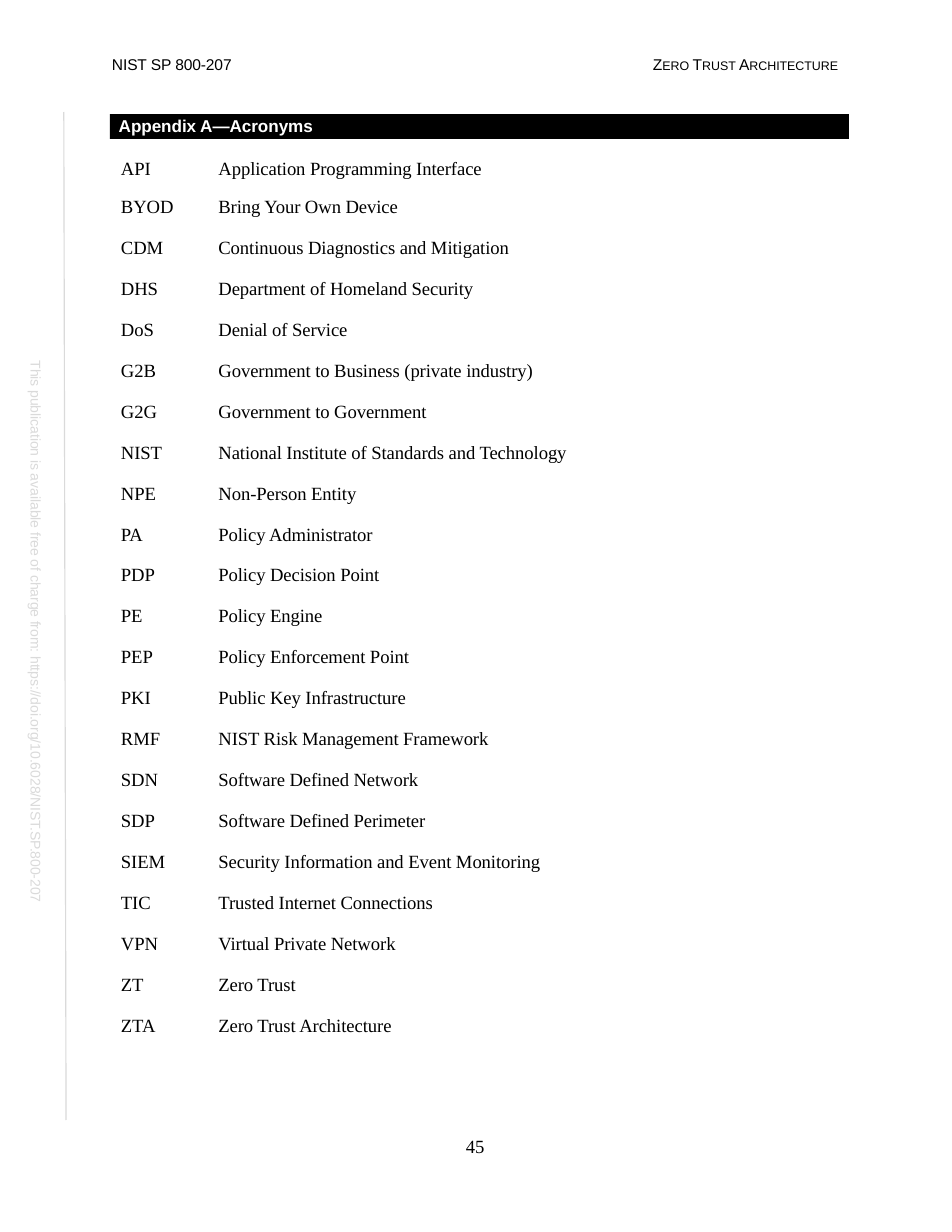
import pptx
import pptx.dml.color
import pptx.enum.shapes
import pptx.enum.text
import pptx.oxml
import pptx.oxml.ns
import pptx.util
from pptx.util import Inches

BLACK = pptx.dml.color.RGBColor(0x00, 0x00, 0x00)
WHITE = pptx.dml.color.RGBColor(0xFF, 0xFF, 0xFF)
GREY = pptx.dml.color.RGBColor(0xDA, 0xDA, 0xDA)
SANS, SERIF = "Arial", "Times New Roman"

PUBLICATION = "NIST SP 800-207"
RUNNING_TITLE = "Zero Trust Architecture"
HEADING = "Appendix A—Acronyms"
AVAILABILITY = ("This publication is available free of charge from: "
                "https://doi.org/10.6028/NIST.SP.800-207")
PAGE_NUMBER = "45"
ACRONYMS = [
    ("API", "Application Programming Interface"),
    ("BYOD", "Bring Your Own Device"),
    ("CDM", "Continuous Diagnostics and Mitigation"),
    ("DHS", "Department of Homeland Security"),
    ("DoS", "Denial of Service"),
    ("G2B", "Government to Business (private industry)"),
    ("G2G", "Government to Government"),
    ("NIST", "National Institute of Standards and Technology"),
    ("NPE", "Non-Person Entity"),
    ("PA", "Policy Administrator"),
    ("PDP", "Policy Decision Point"),
    ("PE", "Policy Engine"),
    ("PEP", "Policy Enforcement Point"),
    ("PKI", "Public Key Infrastructure"),
    ("RMF", "NIST Risk Management Framework"),
    ("SDN", "Software Defined Network"),
    ("SDP", "Software Defined Perimeter"),
    ("SIEM", "Security Information and Event Monitoring"),
    ("TIC", "Trusted Internet Connections"),
    ("VPN", "Virtual Private Network"),
    ("ZT", "Zero Trust"),
    ("ZTA", "Zero Trust Architecture"),
]
TABLE_LEFT, TABLE_TOP = 0.94, 1.42
COLUMN_WIDTHS = (0.81, 3.5)
COLUMN_INDENTS = (0.14, 0.2)
END_ROW, MIDDLE_ROW = 0.27, 0.3655


def write(frame, *parts, size=12, font=SERIF, color=BLACK, bold=False,
          before=0, line=None, spacing=-0.05):
    """Fill the first paragraph; a part is text or a (text, size) pair."""
    para = frame.paragraphs[0]
    para.alignment = pptx.enum.text.PP_ALIGN.LEFT
    para.space_before = pptx.util.Pt(before)
    if line:
        para.line_spacing = pptx.util.Pt(line)
    for part in parts:
        text, points = (part, size) if isinstance(part, str) else part
        span = para.add_run()
        span.text = text
        span.font.size = pptx.util.Pt(points)
        span.font.name = font
        span.font.bold = bold
        span.font.color.rgb = color
        span.font._element.set("spc", str(round(spacing * 100)))


def set_frame(frame, left=0.01, top=0.0):
    frame.word_wrap = True
    frame.auto_size = pptx.enum.text.MSO_AUTO_SIZE.NONE
    frame.vertical_anchor = pptx.enum.text.MSO_ANCHOR.TOP
    frame.margin_left, frame.margin_top = Inches(left), Inches(top)
    frame.margin_right = frame.margin_bottom = 0


def add_text(page, place, *parts, left=0.01, top=0.0, vertical=False, **style):
    box = page.shapes.add_textbox(*map(Inches, place))
    set_frame(box.text_frame, left, top)
    if vertical:
        box.text_frame._txBody.bodyPr.set("vert", "vert")
    write(box.text_frame, *parts, **style)


def small_caps(text, large, small):
    for word in text.split():
        yield word[0], large
        yield word[1:].upper() + ("" if text.endswith(word) else " "), small


def add_heading(page):
    title = page.shapes.title
    title.left, title.top, title.width, title.height = map(
        Inches, (0.98, 1.02, 6.6, 0.22))
    title.fill.solid()
    title.fill.fore_color.rgb = BLACK
    set_frame(title.text_frame, left=0.08, top=0.01)
    write(title.text_frame, HEADING, size=11, font=SANS, color=WHITE,
          bold=True, before=0.8)


def add_margin_rule(page):
    rule = page.shapes.add_connector(
        pptx.enum.shapes.MSO_CONNECTOR.STRAIGHT,
        Inches(0.57), Inches(1), Inches(0.59), Inches(10))
    rule.line.color.rgb = GREY
    rule.line.width = pptx.util.Pt(0.75)
    rule._element.spPr.append(pptx.oxml.parse_xml(
        "<a:effectLst %s/>" % pptx.oxml.ns.nsdecls("a")))


def add_acronym_table(page):
    last = len(ACRONYMS) - 1
    heights = [END_ROW if i in (0, last) else MIDDLE_ROW
               for i in range(len(ACRONYMS))]
    table = page.shapes.add_table(
        len(ACRONYMS), len(COLUMN_WIDTHS), Inches(TABLE_LEFT), Inches(TABLE_TOP),
        Inches(sum(COLUMN_WIDTHS)), Inches(sum(heights))).table
    table.first_row = table.horz_banding = False
    for column, width in zip(table.columns, COLUMN_WIDTHS):
        column.width = Inches(width)
    for i, (entry, height) in enumerate(zip(ACRONYMS, heights)):
        table.rows[i].height = Inches(height)
        for j, (text, indent) in enumerate(zip(entry, COLUMN_INDENTS)):
            cell = table.cell(i, j)
            cell.fill.background()
            cell.margin_left = Inches(indent)
            cell.margin_top = Inches(0.07 if i else 0)
            cell.margin_right = cell.margin_bottom = 0
            write(cell.text_frame, text, before=5.2 if i else 0,
                  line={0: 13.1, last: 13.6}.get(i))


def main():
    deck = pptx.Presentation()
    deck.slide_width, deck.slide_height = Inches(8.5), Inches(11)
    page = deck.slides.add_slide(deck.slide_layouts.get_by_name("Title Only"))
    header = dict(size=10, font=SANS, top=0.01, before=1)
    add_text(page, (0.99, 0.48, 1.1, 0.2), PUBLICATION, **header)
    add_text(page, (5.82, 0.48, 1.69, 0.2),
             *small_caps(RUNNING_TITLE, 10, 8), **header)
    add_text(page, (0.23, 3.22, 0.17, 4.97), AVAILABILITY, vertical=True,
             size=9, font=SANS, color=GREY, before=0.1)
    add_margin_rule(page)
    add_heading(page)
    add_text(page, (4.12, 10.14, 0.25, 0.21), PAGE_NUMBER, left=0.04,
             line=14.1, spacing=0)
    add_acronym_table(page)
    deck.save("out.pptx")


if __name__ == "__main__":
    main()
